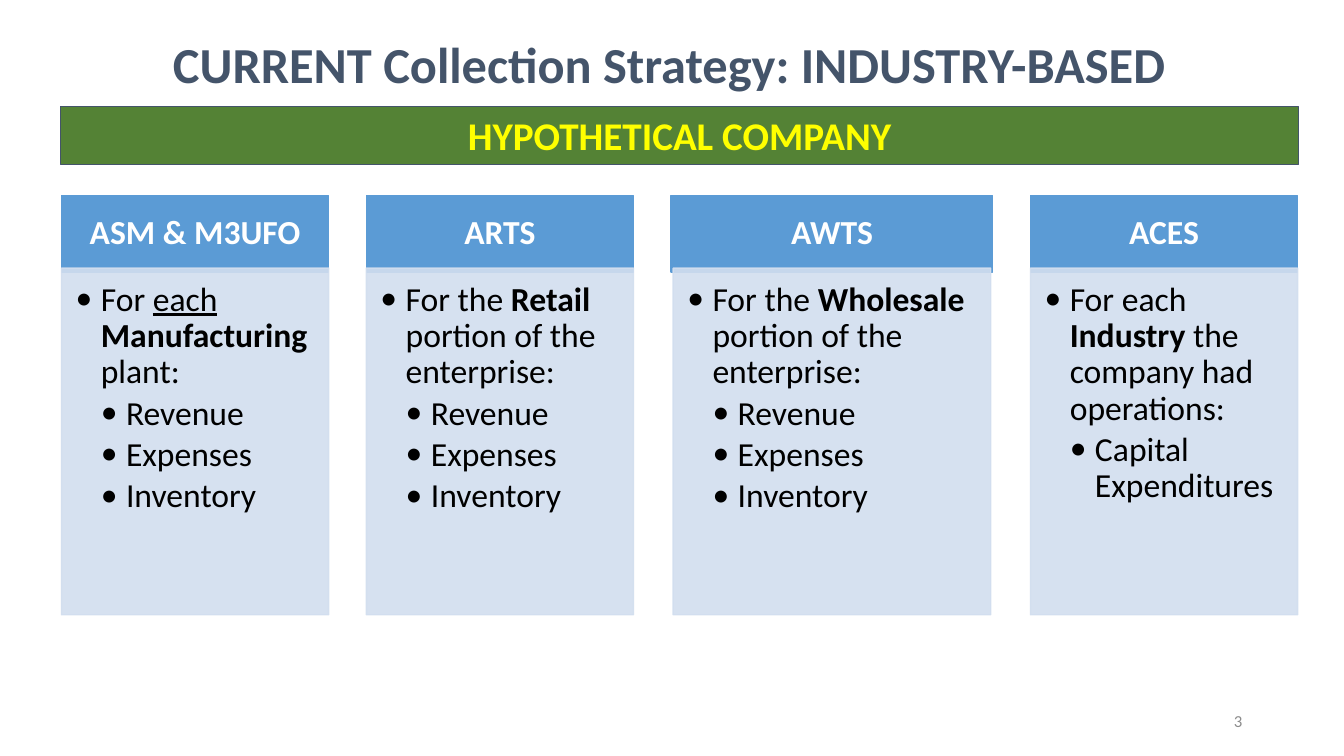
from dataclasses import dataclass, field

from lxml import etree
from pptx import Presentation
from pptx import util as u
from pptx.dml.color import RGBColor
from pptx.enum import shapes, text
from pptx.oxml import ns

FONT = "Calibri"
WHITE = RGBColor(0xFF, 0xFF, 0xFF)
BLACK = RGBColor(0x00, 0x00, 0x00)
GRAY = RGBColor(0x8C, 0x8C, 0x8C)
SLATE = RGBColor(0x44, 0x54, 0x6A)
GREEN = RGBColor(0x54, 0x82, 0x35)
YELLOW = RGBColor(0xFF, 0xFF, 0x00)
BLUE = RGBColor(0x5B, 0x9B, 0xD5)
PALE_BLUE = RGBColor(0xD2, 0xDE, 0xEF)

COLUMNS_LEFT, COLUMNS_RIGHT = 0.61, 12.87
HEADER_TOP, HEADER_HEIGHT = 1.94, 0.76
BODY_TOP, BODY_HEIGHT = 2.66, 3.44
BOLD = {"bold": True}
UNDERLINE = {"underline": True}


@dataclass
class Piece:
    """A stretch of text with one format."""
    words: str
    format: dict = field(default_factory=dict)


@dataclass
class Column:
    """A survey with its scope and the items it collects."""
    heading: str
    scope: list[Piece]
    items: list[str]
    width: float = 2.65
    body_inset: float = 0


ACCOUNTS = ["Revenue", "Expenses", "Inventory"]
COLUMNS = [
    Column("ASM & M3UFO",
           [Piece("For "), Piece("each", UNDERLINE), Piece(" "),
            Piece("Manufacturing", BOLD), Piece(" plant:")], ACCOUNTS),
    Column("ARTS",
           [Piece("For the "), Piece("Retail", BOLD),
            Piece(" portion of the enterprise:")], ACCOUNTS),
    Column("AWTS",
           [Piece("For the "), Piece("Wholesale", BOLD),
            Piece(" portion of the enterprise:")], ACCOUNTS, 3.19, 0.02),
    Column("ACES",
           [Piece("For each "), Piece("Industry", BOLD),
            Piece(" the company had operations:")], ["Capital Expenditures"]),
]


def apply(target, values: dict) -> None:
    for name, value in values.items():
        setattr(target, name, value)


def place(shape, left: float, top: float, width: float, height: float) -> None:
    apply(shape, {"left": u.Inches(left), "top": u.Inches(top),
                  "width": u.Inches(width), "height": u.Inches(height)})


def format_frame(frame, anchor, insets: tuple = (0.1, 0.05, 0.1, 0.05)) -> None:
    sides = ("margin_left", "margin_top", "margin_right", "margin_bottom")
    apply(frame, {"word_wrap": True, "vertical_anchor": anchor,
                  "auto_size": text.MSO_AUTO_SIZE.NONE})
    apply(frame, {side: u.Inches(inset) for side, inset in zip(sides, insets)})


def write(paragraph, pieces: list[Piece], size: float, color: RGBColor,
          **values) -> None:
    apply(paragraph, values)
    for piece in pieces:
        run = paragraph.add_run()
        run.text = piece.words
        apply(run.font, {"name": FONT, "size": u.Pt(size), **piece.format})
        run.font.color.rgb = color


def add_bullet(paragraph, level: int) -> None:
    paragraph.level = level
    properties = paragraph._p.get_or_add_pPr()
    properties.set("marL", str(u.Inches(0.25 * level)))
    properties.set("indent", str(-u.Inches(0.25)))
    bullet_font = etree.SubElement(properties, ns.qn("a:buFont"))
    bullet_font.set("typeface", FONT)
    etree.SubElement(properties, ns.qn("a:buChar")).set("char", "•")


def add_rectangle(slide, box: tuple, fill: RGBColor, line: RGBColor,
                  line_width: float, opacity: int = 100):
    shape = slide.shapes.add_shape(shapes.MSO_SHAPE.RECTANGLE,
                                   *[u.Inches(length) for length in box])
    shape.shadow.inherit = False
    shape.fill.solid()
    shape.fill.fore_color.rgb = fill
    shape.line.color.rgb = line
    shape.line.width = u.Pt(line_width)
    if opacity < 100:
        for color in shape._element.spPr.iter(ns.qn("a:srgbClr")):
            etree.SubElement(color, ns.qn("a:alpha")).set("val", str(opacity * 1000))
    return shape


def add_column(slide, column: Column, left: float) -> None:
    header = add_rectangle(slide, (left, HEADER_TOP, column.width, HEADER_HEIGHT),
                           BLUE, BLUE, 1)
    format_frame(header.text_frame, text.MSO_ANCHOR.MIDDLE, (0.19, 0.11, 0.19, 0.11))
    write(header.text_frame.paragraphs[0], [Piece(column.heading, BOLD)], 24, WHITE,
          alignment=text.PP_ALIGN.CENTER, line_spacing=0.9)

    body_box = (left + column.body_inset, BODY_TOP,
                column.width - 2 * column.body_inset, BODY_HEIGHT)
    body = add_rectangle(slide, body_box, PALE_BLUE, PALE_BLUE, 1, opacity=90)
    frame = body.text_frame
    format_frame(frame, text.MSO_ANCHOR.TOP, (0.14, 0.14, 0.19, 0.21))
    entries = [(1, column.scope)] + [(2, [Piece(item)]) for item in column.items]
    for index, (level, pieces) in enumerate(entries):
        paragraph = frame.add_paragraph() if index else frame.paragraphs[0]
        add_bullet(paragraph, level)
        write(paragraph, pieces, 24, BLACK, alignment=text.PP_ALIGN.LEFT,
              line_spacing=0.9, space_after=u.Pt(3.6))


def main() -> None:
    presentation = Presentation()
    presentation.slide_width = u.Inches(13.33)
    presentation.slide_height = u.Inches(7.5)
    slide = presentation.slides.add_slide(presentation.slide_layouts[5])

    # Title
    title = slide.shapes.title
    place(title, 0.94, 0.35, 11.4, 0.7)
    format_frame(title.text_frame, text.MSO_ANCHOR.TOP)
    write(title.text_frame.paragraphs[0],
          [Piece("CURRENT Collection Strategy: INDUSTRY-BASED", BOLD)], 36, SLATE,
          alignment=text.PP_ALIGN.CENTER, line_spacing=0.9)

    # Survey columns, evenly spaced
    total_width = sum(column.width for column in COLUMNS)
    gap = (COLUMNS_RIGHT - COLUMNS_LEFT - total_width) / (len(COLUMNS) - 1)
    left = COLUMNS_LEFT
    for column in COLUMNS:
        add_column(slide, column, left)
        left += column.width + gap

    # Company banner
    banner = add_rectangle(slide, (0.6, 1.06, 12.28, 0.57), GREEN, SLATE, 0.75)
    format_frame(banner.text_frame, text.MSO_ANCHOR.TOP)
    write(banner.text_frame.paragraphs[0], [Piece("HYPOTHETICAL COMPANY", BOLD)],
          28, YELLOW, alignment=text.PP_ALIGN.CENTER)

    # Slide number
    number = slide.shapes.add_textbox(u.Inches(9.42), u.Inches(6.95),
                                      u.Inches(3), u.Inches(0.4))
    format_frame(number.text_frame, text.MSO_ANCHOR.MIDDLE)
    write(number.text_frame.paragraphs[0], [Piece("3")], 12, GRAY,
          alignment=text.PP_ALIGN.RIGHT)

    presentation.save("out.pptx")


if __name__ == "__main__":
    main()
